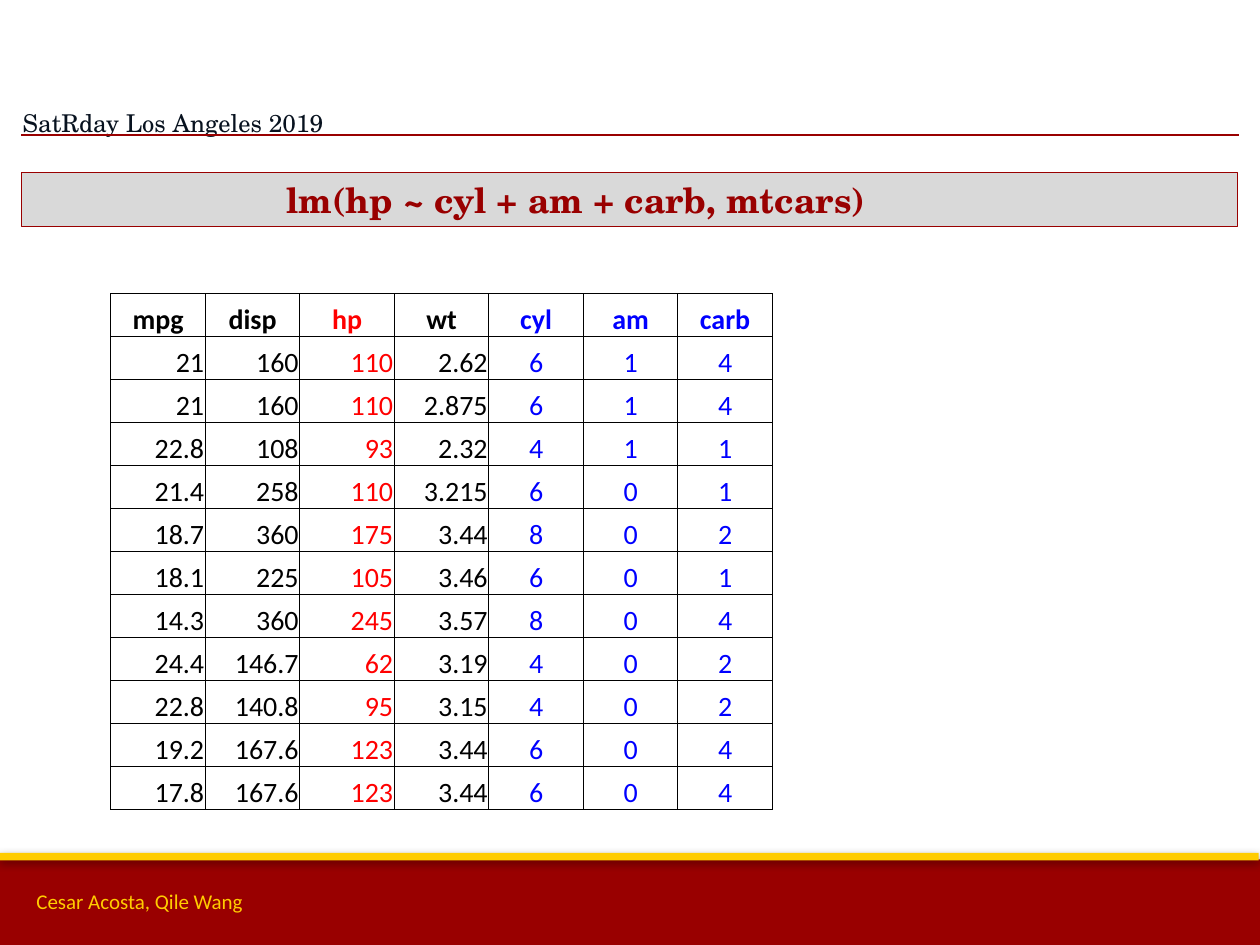
"""Build a slide showing the mtcars variables used in a linear model."""
from dataclasses import dataclass
from typing import Optional

from lxml.etree import SubElement
from pptx import Presentation
from pptx.dml.color import RGBColor
from pptx.enum.shapes import MSO_SHAPE
from pptx.enum.text import MSO_ANCHOR as Anchor, PP_ALIGN as Align
from pptx.oxml.ns import qn
from pptx.util import Inches, Pt

CARDINAL = RGBColor(0x99, 0x00, 0x00)
GOLD = RGBColor(0xFF, 0xCC, 0x00)
GRAY = RGBColor(0xD9, 0xD9, 0xD9)
NAVY = RGBColor(0x08, 0x12, 0x1F)
BLACK = RGBColor(0x00, 0x00, 0x00)
RED = RGBColor(0xFF, 0x00, 0x00)
BLUE = RGBColor(0x00, 0x00, 0xFF)
SERIF = "TeX Gyre Schola"
SANS = "Calibri"
COLUMN_WIDTH = 0.75
ROW_HEIGHT = 4.1 / 12
CELL_MARGINS = (0.01, 0.01, 0.01, 0)


@dataclass(frozen=True)
class Bar:
    left: float
    top: float
    width: float
    height: float
    fill: RGBColor
    line: Optional[RGBColor] = None
    shadow_opacity: int = 0
    shadow_distance: float = 0


@dataclass(frozen=True)
class Rule:
    left: float
    top: float
    height: float
    text: str = ""


@dataclass(frozen=True)
class Column:
    name: str
    color: RGBColor
    align: Align
    values: str


FOOTER_BAND = Bar(0, 6.82, 10, 0.68, CARDINAL, shadow_opacity=35, shadow_distance=1.8)
FOOTER_STRIPE = Bar(-0.01, 6.77, 10, 0.06, GOLD, shadow_opacity=38, shadow_distance=1.6)
TITLE_BAR = Bar(0.17, 1.37, 9.65, 0.43, GRAY, line=CARDINAL)
BASE_RULE = Rule(0.17, 0.84, 0.23)
HEADER_RULE = Rule(0.18, 0.83, 0.24, "SatRday Los Angeles 2019")

COLUMNS = [
    Column("mpg", BLACK, Align.RIGHT, "21 21 22.8 21.4 18.7 18.1 14.3 24.4 22.8 19.2 17.8"),
    Column("disp", BLACK, Align.RIGHT, "160 160 108 258 360 225 360 146.7 140.8 167.6 167.6"),
    Column("hp", RED, Align.RIGHT, "110 110 93 110 175 105 245 62 95 123 123"),
    Column("wt", BLACK, Align.RIGHT, "2.62 2.875 2.32 3.215 3.44 3.46 3.57 3.19 3.15 3.44 3.44"),
    Column("cyl", BLUE, Align.CENTER, "6 6 4 6 8 6 8 4 4 6 6"),
    Column("am", BLUE, Align.CENTER, "1 1 1 0 0 0 0 0 0 0 0"),
    Column("carb", BLUE, Align.CENTER, "4 4 1 1 2 1 4 2 2 4 4"),
]


def write_text(text_frame, text: str, *, size: float, font: str, color: RGBColor,
               bold: bool = False, align: Align = Align.LEFT,
               line_spacing: Optional[float] = None) -> None:
    paragraph = text_frame.paragraphs[0]
    paragraph.alignment = align
    paragraph.line_spacing = line_spacing
    run = paragraph.add_run()
    run.text = text
    run.font.size = Pt(size)
    run.font.name = font
    run.font.bold = bold
    run.font.color.rgb = color


def set_margins(target, left: float, top: float, right: float, bottom: float) -> None:
    target.margin_left, target.margin_top = Inches(left), Inches(top)
    target.margin_right, target.margin_bottom = Inches(right), Inches(bottom)


def add_shadow(shape, opacity: int, distance: float) -> None:
    effects = shape._element.spPr.find(qn("a:effectLst"))
    shadow = SubElement(effects, qn("a:outerShdw"), blurRad=str(Pt(5)), dist=str(Pt(distance)),
                        dir="5400000", rotWithShape="0")
    color = SubElement(shadow, qn("a:srgbClr"), val=str(BLACK))
    SubElement(color, qn("a:alpha"), val=str(opacity * 1000))


def add_bar(slide, bar: Bar):
    shape = slide.shapes.add_shape(MSO_SHAPE.RECTANGLE, Inches(bar.left), Inches(bar.top),
                                   Inches(bar.width), Inches(bar.height))
    shape.shadow.inherit = False
    shape.fill.solid()
    shape.fill.fore_color.rgb = bar.fill
    if bar.line is None:
        shape.line.fill.background()
    else:
        shape.line.color.rgb = bar.line
        shape.line.width = Pt(0.75)
    if bar.shadow_opacity:
        add_shadow(shape, bar.shadow_opacity, bar.shadow_distance)
    return shape


def add_plain_table(slide, rows: int, columns: int, left: float, top: float,
                    column_width: float, row_height: float):
    table = slide.shapes.add_table(rows, columns, Inches(left), Inches(top),
                                   Inches(column_width * columns),
                                   Inches(row_height * rows)).table
    table.first_row = table.horz_banding = False
    for column in table.columns:
        column.width = Inches(column_width)
    for row in table.rows:
        row.height = Inches(row_height)
    return table


def format_cell(cell, sides: str, color: RGBColor, width: float) -> None:
    properties = cell._tc.get_or_add_tcPr()
    for side in "LRTB":
        border = SubElement(properties, qn(f"a:ln{side}"), w=str(Pt(width)))
        if side in sides:
            fill = SubElement(border, qn("a:solidFill"))
            SubElement(fill, qn("a:srgbClr"), val=str(color))
        else:
            SubElement(border, qn("a:noFill"))
    cell.fill.background()


def add_rule(slide, rule: Rule) -> None:
    cell = add_plain_table(slide, 1, 1, rule.left, rule.top, 9.65, rule.height).cell(0, 0)
    format_cell(cell, "B", CARDINAL, 1)
    set_margins(cell, 0, 0, 0, 0)
    if rule.text:
        write_text(cell.text_frame, rule.text, size=14, font=SERIF, color=NAVY)
    else:
        SubElement(cell.text_frame.paragraphs[0]._p, qn("a:endParaRPr"), sz="800")


def add_title(slide) -> None:
    text_frame = add_bar(slide, TITLE_BAR).text_frame
    text_frame.word_wrap = True
    text_frame.vertical_anchor = Anchor.BOTTOM
    set_margins(text_frame, 2.1, 0, 0.1, 0.05)
    write_text(text_frame, "lm(hp ~ cyl + am + carb, mtcars)", size=20, font=SERIF,
               color=CARDINAL, bold=True, line_spacing=0.9)


def add_authors(slide) -> None:
    box = slide.shapes.add_textbox(Inches(0.19), Inches(7), Inches(3.08), Inches(0.3))
    box.text_frame.word_wrap = True
    write_text(box.text_frame, "Cesar Acosta, Qile Wang", size=12, font=SANS, color=GOLD)


def add_data_table(slide, columns: list[Column]) -> None:
    row_count = len(columns[0].values.split()) + 1
    table = add_plain_table(slide, row_count, len(columns), 0.88, 2.33, COLUMN_WIDTH, ROW_HEIGHT)
    for column_index, column in enumerate(columns):
        for row_index, text in enumerate([column.name, *column.values.split()]):
            is_heading = row_index == 0
            cell = table.cell(row_index, column_index)
            format_cell(cell, "LRTB", BLACK, 0.5)
            set_margins(cell, *CELL_MARGINS)
            cell.vertical_anchor = Anchor.BOTTOM
            write_text(cell.text_frame, text, size=16, font=SANS, color=column.color,
                       bold=is_heading, align=Align.CENTER if is_heading else column.align)


def main() -> None:
    presentation = Presentation()
    presentation.slide_width, presentation.slide_height = Inches(10), Inches(7.5)
    slide = presentation.slides.add_slide(presentation.slide_layouts[6])
    add_bar(slide, FOOTER_BAND)
    add_bar(slide, FOOTER_STRIPE)
    add_rule(slide, BASE_RULE)
    add_authors(slide)
    add_rule(slide, HEADER_RULE)
    add_title(slide)
    add_data_table(slide, COLUMNS)
    presentation.save("out.pptx")


if __name__ == "__main__":
    main()
